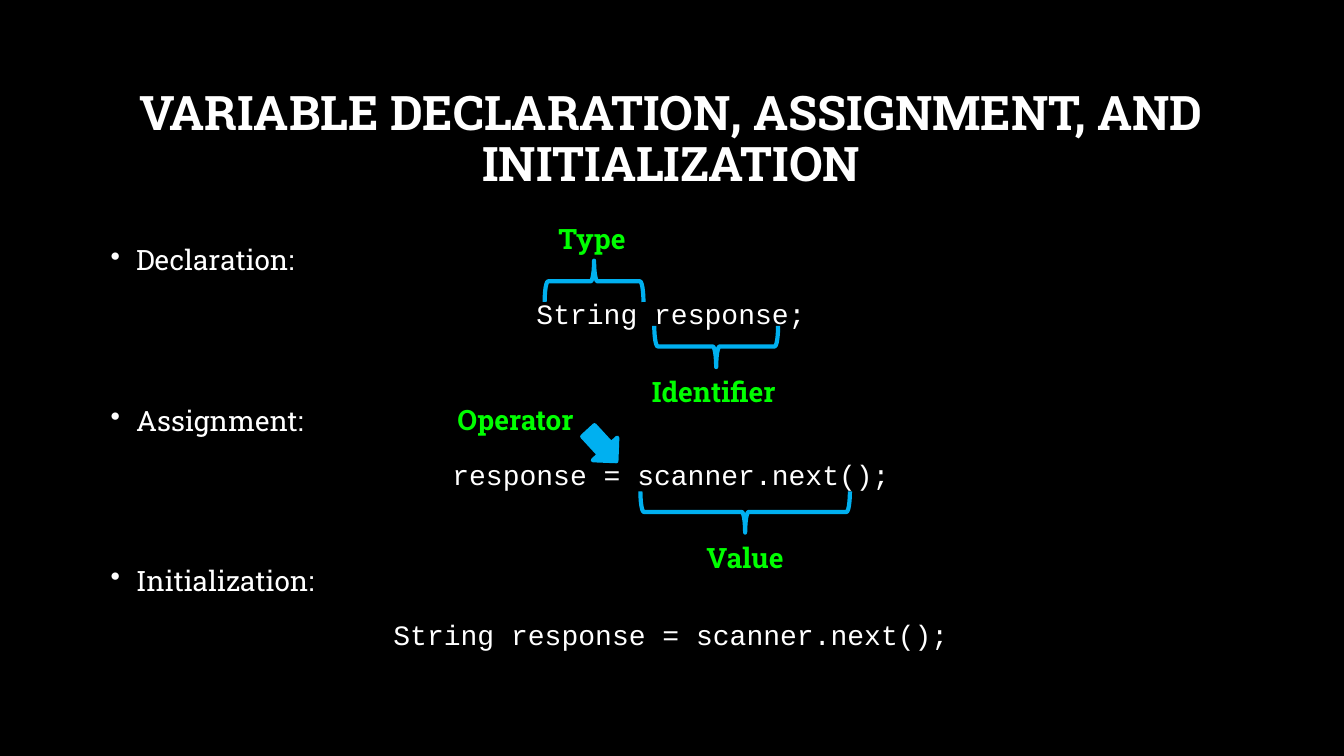
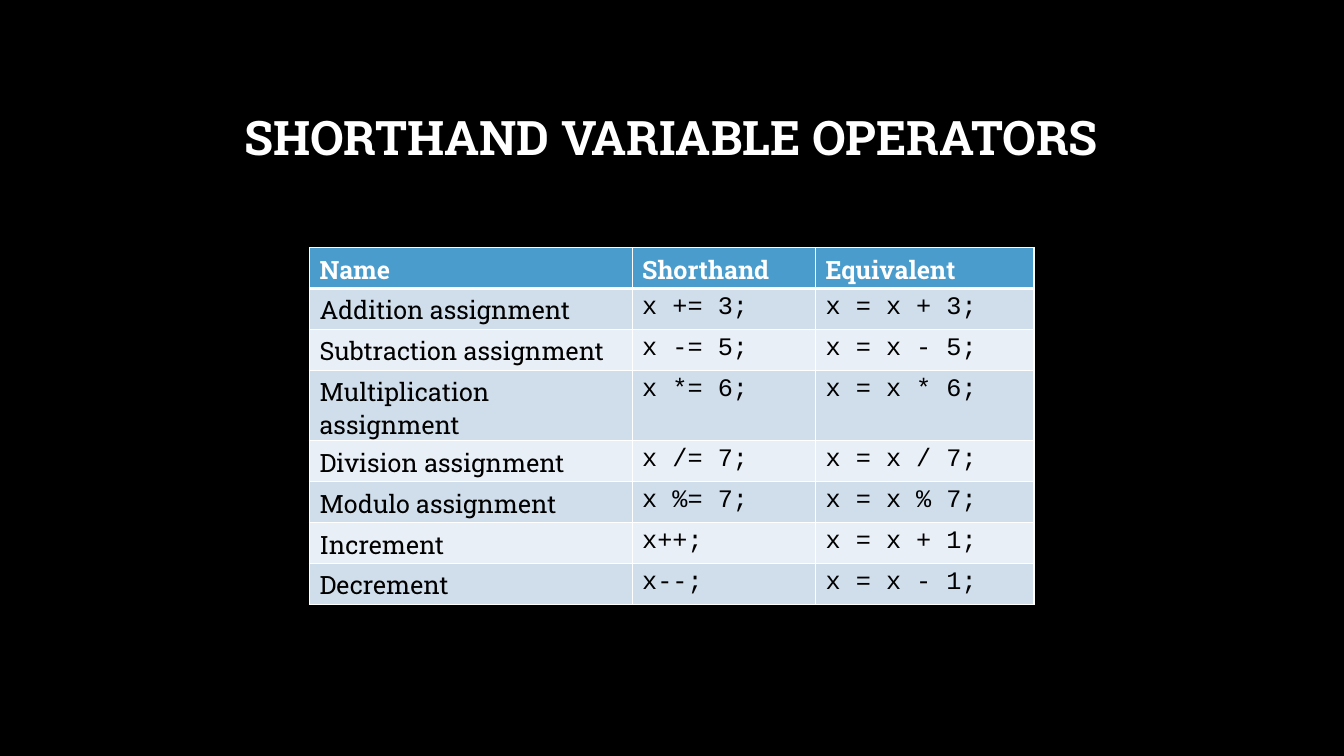
import pptx
import pptx.dml.color
import pptx.enum.shapes
import pptx.enum.text
import pptx.oxml
import pptx.oxml.ns
import pptx.util

Cm = pptx.util.Cm
Pt = pptx.util.Pt
SHAPE = pptx.enum.shapes.MSO_SHAPE
ALIGN = pptx.enum.text.PP_ALIGN

SERIF = "Roboto Slab"
MONO = "Courier New"
BLACK = "000000"
WHITE = "FFFFFF"
GREEN = "00FF00"
BLUE = "00B0F0"
HEADER_FILL = "4A9CCC"
BAND_FILLS = ("D0DEEC", "E9EFF6")

MARGIN = 2.54
CONTENT_WIDTH = 28.75
BRACE_DEPTH = 1.04

EXAMPLES = [
    ("Declaration:", "String response;"),
    ("Assignment:", "response = scanner.next();"),
    ("Initialization:", "String response = scanner.next();"),
]
# Centre x, centre y, span, rotation
BRACES = [
    (14.97, 7.09, 2.49, 90),
    (18.05, 8.73, 3.12, 270),
    (18.78, 12.9, 5.28, 270),
]
# Text, left, top, width
LABELS = [
    ("Type", 13.82, 5.46, 2.26),
    ("Identifier", 16.18, 9.3, 3.86),
    ("Operator", 11.28, 10.01, 3.68),
    ("Value", 17.55, 13.49, 2.46),
]
OPERATORS = [
    ("Name", "Shorthand", "Equivalent"),
    ("Addition assignment", "x += 3;", "x = x + 3;"),
    ("Subtraction assignment", "x -= 5;", "x = x - 5;"),
    ("Multiplication assignment", "x *= 6;", "x = x * 6;"),
    ("Division assignment", "x /= 7;", "x = x / 7;"),
    ("Modulo assignment", "x %= 7;", "x = x % 7;"),
    ("Increment", "x++;", "x = x + 1;"),
    ("Decrement", "x--;", "x = x - 1;"),
]
COLUMN_WIDTHS = (8.13, 4.62, 5.51)
ROW_HEIGHT = 1.03


def rgb(hex_color):
    return pptx.dml.color.RGBColor.from_string(hex_color)


def paint(fill, color):
    fill.solid()
    fill.fore_color.rgb = rgb(color)


def write(paragraph, text, size, color, font=SERIF, bold=False):
    paragraph.text = text
    for run in paragraph.runs:
        run.font.name = font
        run.font.size = Pt(size)
        run.font.bold = bold
        run.font.color.rgb = rgb(color)


def add_text_frame(slide, left, top, width, height, wrap=True):
    box = slide.shapes.add_textbox(Cm(left), Cm(top), Cm(width), Cm(height))
    box.text_frame.word_wrap = wrap
    return box.text_frame


def add_titled_slide(deck, title):
    slide = deck.slides.add_slide(deck.slide_layouts[6])
    frame = add_text_frame(slide, MARGIN, 1.7, CONTENT_WIDTH, 3.68)
    frame.vertical_anchor = pptx.enum.text.MSO_ANCHOR.MIDDLE
    heading = frame.paragraphs[0]
    heading.alignment = ALIGN.CENTER
    heading.line_spacing = 0.9
    write(heading, title, 34, WHITE, bold=True)
    return slide


def add_bullet(paragraph):
    properties = paragraph._p.get_or_add_pPr()
    properties.set("marL", str(Cm(0.64)))
    properties.set("indent", str(-Cm(0.64)))
    properties.append(pptx.oxml.parse_xml(
        f'<a:buChar {pptx.oxml.ns.nsdecls("a")} char="•"/>'))


def add_examples(slide):
    """Bulleted terms, each with a centred line of code below it."""
    frame = add_text_frame(slide, MARGIN, 5.82, CONTENT_WIDTH, 12.42)
    for index, (term, code) in enumerate(EXAMPLES):
        bullet = frame.add_paragraph() if index else frame.paragraphs[0]
        sample = frame.add_paragraph()
        bullet.space_before = Pt(47 if index else 10)
        sample.space_before = Pt(10)
        bullet.line_spacing = sample.line_spacing = 1.2
        sample.alignment = ALIGN.CENTER
        write(bullet, term, 20, WHITE)
        write(sample, code, 20, WHITE, MONO)
        add_bullet(bullet)


def add_marker(slide, kind, center_x, center_y, width, height, rotation):
    marker = slide.shapes.add_shape(
        kind, Cm(center_x - width / 2), Cm(center_y - height / 2),
        Cm(width), Cm(height))
    marker.rotation = rotation
    marker.shadow.inherit = False
    marker.line.color.rgb = rgb(BLUE)
    marker.line.width = Pt(3)
    return marker


def add_brace(slide, center_x, center_y, span, rotation):
    brace = add_marker(slide, SHAPE.LEFT_BRACE, center_x, center_y,
                       BRACE_DEPTH, span, rotation)
    brace.fill.background()


def add_label(slide, text, left, top, width):
    frame = add_text_frame(slide, left, top, width, 1.12, wrap=False)
    frame.auto_size = pptx.enum.text.MSO_AUTO_SIZE.SHAPE_TO_FIT_TEXT
    write(frame.paragraphs[0], text, 20, GREEN, bold=True)


def set_borders(cell, top, bottom):
    """White borders; top and bottom widths are in points."""
    properties = cell._tc.get_or_add_tcPr()
    edges = (("lnL", 1), ("lnR", 1), ("lnT", top), ("lnB", bottom))
    for position, (edge, width) in enumerate(edges):
        properties.insert(position, pptx.oxml.parse_xml(
            f'<a:{edge} {pptx.oxml.ns.nsdecls("a")} w="{Pt(width)}">'
            f'<a:solidFill><a:srgbClr val="{WHITE}"/></a:solidFill>'
            f'</a:{edge}>'))


def add_operator_table(slide):
    row_count = len(OPERATORS)
    table = slide.shapes.add_table(
        row_count, len(COLUMN_WIDTHS), Cm(7.8), Cm(6.24),
        Cm(sum(COLUMN_WIDTHS)), Cm(ROW_HEIGHT * row_count)).table
    for column, width in zip(table.columns, COLUMN_WIDTHS):
        column.width = Cm(width)
    for row, entries in enumerate(OPERATORS):
        is_header = row == 0
        table.rows[row].height = Cm(ROW_HEIGHT)
        for column, text in enumerate(entries):
            cell = table.cell(row, column)
            paint(cell.fill,
                  HEADER_FILL if is_header else BAND_FILLS[(row - 1) % 2])
            set_borders(cell, top=3 if row == 1 else 1,
                        bottom=3 if is_header else 1)
            write(cell.text_frame.paragraphs[0], text, 18,
                  WHITE if is_header else BLACK,
                  SERIF if is_header or column == 0 else MONO,
                  bold=is_header)


def main():
    deck = pptx.Presentation()
    deck.slide_width = Cm(33.87)
    deck.slide_height = Cm(19.05)
    paint(deck.slide_master.background.fill, BLACK)

    syntax = add_titled_slide(
        deck, "VARIABLE DECLARATION, ASSIGNMENT, AND INITIALIZATION")
    add_examples(syntax)
    for brace in BRACES:
        add_brace(syntax, *brace)
    arrow = add_marker(syntax, SHAPE.RIGHT_ARROW, 15.18, 11.24,
                       1.04, 0.84, 47.3)
    paint(arrow.fill, BLUE)
    for label in LABELS:
        add_label(syntax, *label)

    shorthand = add_titled_slide(deck, "SHORTHAND VARIABLE OPERATORS")
    add_operator_table(shorthand)

    deck.save("out.pptx")


if __name__ == "__main__":
    main()
